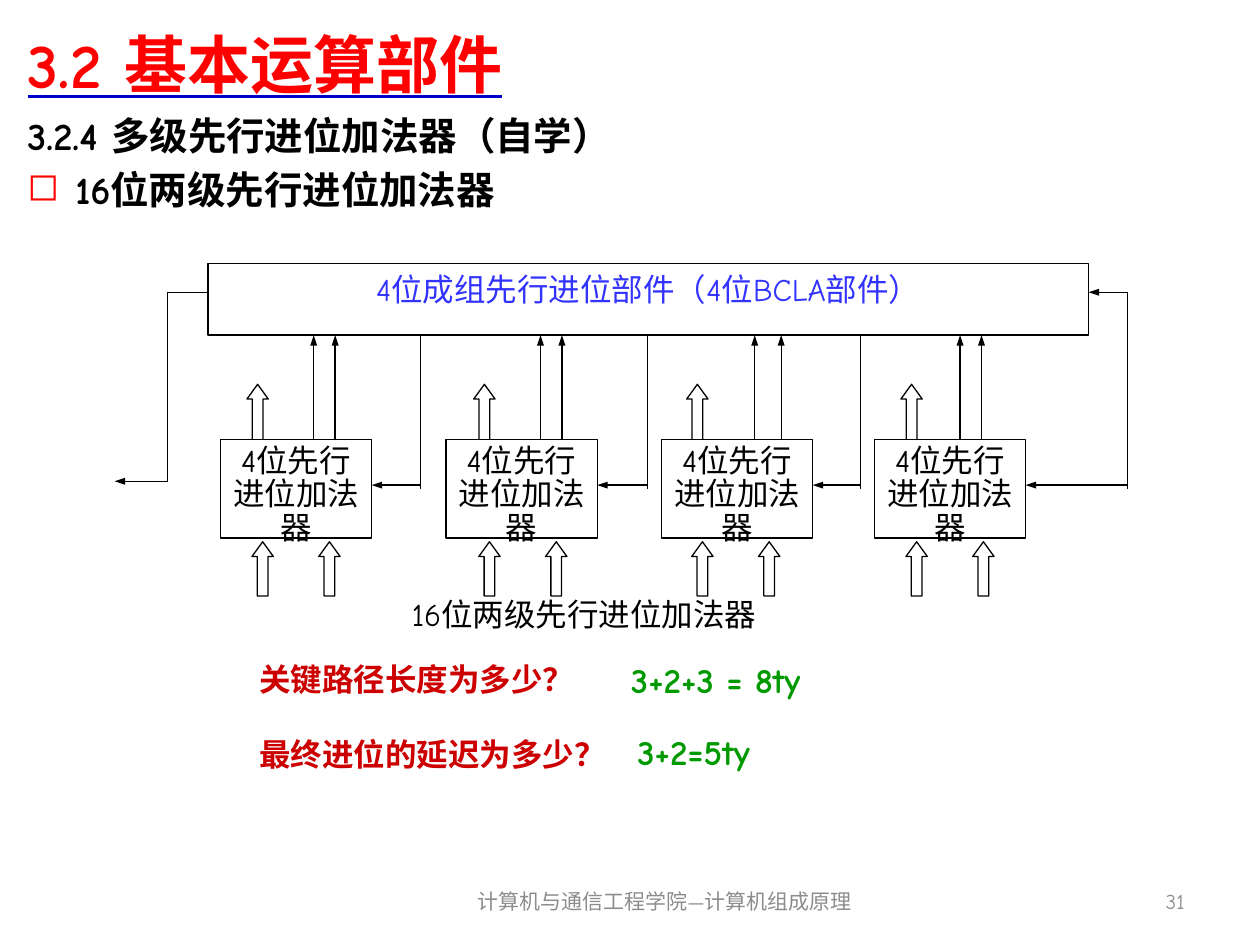
from pptx import Presentation
from pptx.dml.color import RGBColor
from pptx.enum.shapes import MSO_CONNECTOR, MSO_SHAPE
from pptx.enum.text import MSO_ANCHOR, PP_ALIGN
from pptx.oxml import parse_xml
from pptx.oxml.ns import nsdecls
from pptx.util import Inches, Pt
from lxml.etree import SubElement
from pptx.oxml.ns import qn

FONT = "Comic Neue"
BLACK, WHITE, RED, GREEN, GRAY = "000000", "FFFFFF", "CC0000", "009900", "8C8C8C"
colour = RGBColor.from_string

presentation = Presentation()
presentation.slide_width, presentation.slide_height = Inches(10), Inches(7.5)
# The grid has 100 columns and 75 rows
column = presentation.slide_width / 100
row = presentation.slide_height / 75


def place(left, top, width, height):
    """Turn grid columns and rows into slide lengths."""
    return [round(left * column), round(top * row), round(width * column), round(height * row)]


def write_text(frame, text, size=18, color=BLACK, bold=False, align=PP_ALIGN.LEFT,
               anchor=MSO_ANCHOR.TOP, wrap=True, gap=0, spacing=None):
    """Write one paragraph per line of text, with a gap between paragraphs."""
    frame.text = text
    frame.word_wrap = wrap
    frame.vertical_anchor = anchor
    for index, paragraph in enumerate(frame.paragraphs):
        paragraph.alignment = align
        paragraph.space_before = Pt(gap if index else 0)
        paragraph.line_spacing = spacing
        for run in paragraph.runs:
            run.font.name, run.font.size, run.font.bold = FONT, Pt(size), bold
            run.font.color.rgb = colour(color)
            SubElement(run.font._element, qn("a:ea")).set("typeface", FONT)


slide = presentation.slides.add_slide(presentation.slide_layouts[5])
shapes = slide.shapes

# Title with a blue underline
title = shapes.title
title.left, title.top, title.width, title.height = place(1.2, 0.8, 90, 8.5)
write_text(title.text_frame, "3.2 基本运算部件", size=36, color="FF0000", bold=True,
           anchor=MSO_ANCHOR.MIDDLE)
title_font = title.text_frame.paragraphs[0].runs[0].font
title_font.underline = True
title_font._element.find(qn("a:latin")).addprevious(parse_xml(
    f'<a:uFill {nsdecls("a")}><a:solidFill><a:srgbClr val="0000CC"/></a:solidFill></a:uFill>'))

# Section heading and bulleted topic
heading = shapes.add_textbox(*place(1.2, 8.4, 90, 10))
write_text(heading.text_frame, "3.2.4 多级先行进位加法器（自学）\n16位两级先行进位加法器",
           size=22, bold=True, gap=4.4)
properties = heading.text_frame.paragraphs[1]._p.get_or_add_pPr()
properties.set("marL", str(Inches(0.38)))
properties.set("indent", str(-Inches(0.38)))
bullet_color = SubElement(properties, qn("a:buClr"))
SubElement(bullet_color, qn("a:srgbClr")).set("val", "FF0000")
SubElement(properties, qn("a:buChar")).set("char", "◻")

# Adder columns: box left, arrow left, two signals to the bus, carry line
adders = [
    (17.5, 20.0, 24.9, 26.6, 33.4),
    (35.4, 38.0, 42.9, 44.6, 51.4),
    (52.5, 54.9, 59.9, 62.0, 68.3),
    (69.4, 71.9, 76.2, 77.9, 89.5),
]
bus_left, bus_top, bus_width, bus_height = 16.5, 20.9, 69.9, 5.7
bus_right, bus_bottom = bus_left + bus_width, bus_top + bus_height
box_top, box_width, box_height = 34.9, 12, 7.8
carry_row, bus_carry_row, out_row, out_column = 38.5, 23.2, 38.2, 13.3

# Wires: start, end, arrowhead at the end
wires = [
    (bus_left, bus_carry_row, out_column, bus_carry_row, False),
    (out_column, bus_carry_row, out_column, out_row, False),
    (out_column, out_row, 9.1, out_row, True),
    (adders[-1][-1], bus_carry_row, bus_right, bus_carry_row, True),
]
for box_left, _, first_signal, second_signal, carry in adders:
    carry_top = bus_bottom if carry < bus_right else bus_carry_row
    wires += [
        (first_signal, box_top, first_signal, bus_bottom, True),
        (second_signal, box_top, second_signal, bus_bottom, True),
        (carry, carry_top, carry, 38.8, False),
        (carry, carry_row, box_left + box_width, carry_row, True),
    ]
for *ends, has_arrow in wires:
    wire = shapes.add_connector(MSO_CONNECTOR.STRAIGHT, *place(*ends))
    wire.line.color.rgb, wire.line.width = colour(BLACK), Pt(0.75)
    SubElement(wire._element.spPr, qn("a:effectLst"))
    if has_arrow:
        head = SubElement(wire.line._get_or_add_ln(), qn("a:tailEnd"))
        for name, value in (("type", "triangle"), ("w", "sm"), ("len", "med")):
            head.set(name, value)

# Bus, adder boxes and block arrows
blocks = [(MSO_SHAPE.RECTANGLE, (bus_left, bus_top, bus_width, bus_height),
           "4位成组先行进位部件（4位BCLA部件）", "3333FF", None)]
for box_left, arrow_left, *_ in adders:
    for left, top, height in ((arrow_left - 0.4, 30.5, 5.9),
                              (arrow_left, 43, 4.3), (arrow_left + 5.3, 43, 4.3)):
        blocks.append((MSO_SHAPE.UP_ARROW, (left, top, 1.7, height), "", BLACK, None))
    blocks.append((MSO_SHAPE.RECTANGLE, (box_left, box_top, box_width, box_height),
                   "4位先行进位加法器", BLACK, 0.88))
for kind, area, text, color, spacing in blocks:
    shape = shapes.add_shape(kind, *place(*area))
    shape.shadow.inherit = False
    shape.fill.solid()
    shape.fill.fore_color.rgb = colour(WHITE)
    shape.line.color.rgb, shape.line.width = colour(BLACK), Pt(0.75)
    if kind == MSO_SHAPE.UP_ARROW:
        shape.adjustments[0], shape.adjustments[1] = 0.5, 0.69
    if text:
        write_text(shape.text_frame, text, color=color, align=PP_ALIGN.CENTER, spacing=spacing)

# Caption, questions, answers and footer
middle = MSO_ANCHOR.MIDDLE
labels = [
    ((31.7, 46.7, 33.3, 4), "16位两级先行进位加法器", {}),
    ((19.6, 51.8, 61.7, 10.1), "关键路径长度为多少？\n最终进位的延迟为多少？",
     dict(color=RED, bold=True, anchor=middle, gap=21)),
    ((49.1, 51.8, 19.3, 4.4), "3+2+3 = 8ty", dict(size=20, color=GREEN, bold=True, wrap=False)),
    ((49.6, 57.5, 13.5, 4.4), "3+2=5ty", dict(size=20, color=GREEN, bold=True, wrap=False)),
    ((34.2, 69.5, 37.1, 4), "计算机与通信工程学院—计算机组成原理",
     dict(size=12, color=GRAY, align=PP_ALIGN.CENTER, anchor=middle)),
    ((71.7, 69.5, 23.3, 4), "31",
     dict(size=12, color=GRAY, align=PP_ALIGN.RIGHT, anchor=middle)),
]
for area, text, text_format in labels:
    write_text(shapes.add_textbox(*place(*area)).text_frame, text, **text_format)

presentation.save("out.pptx")
